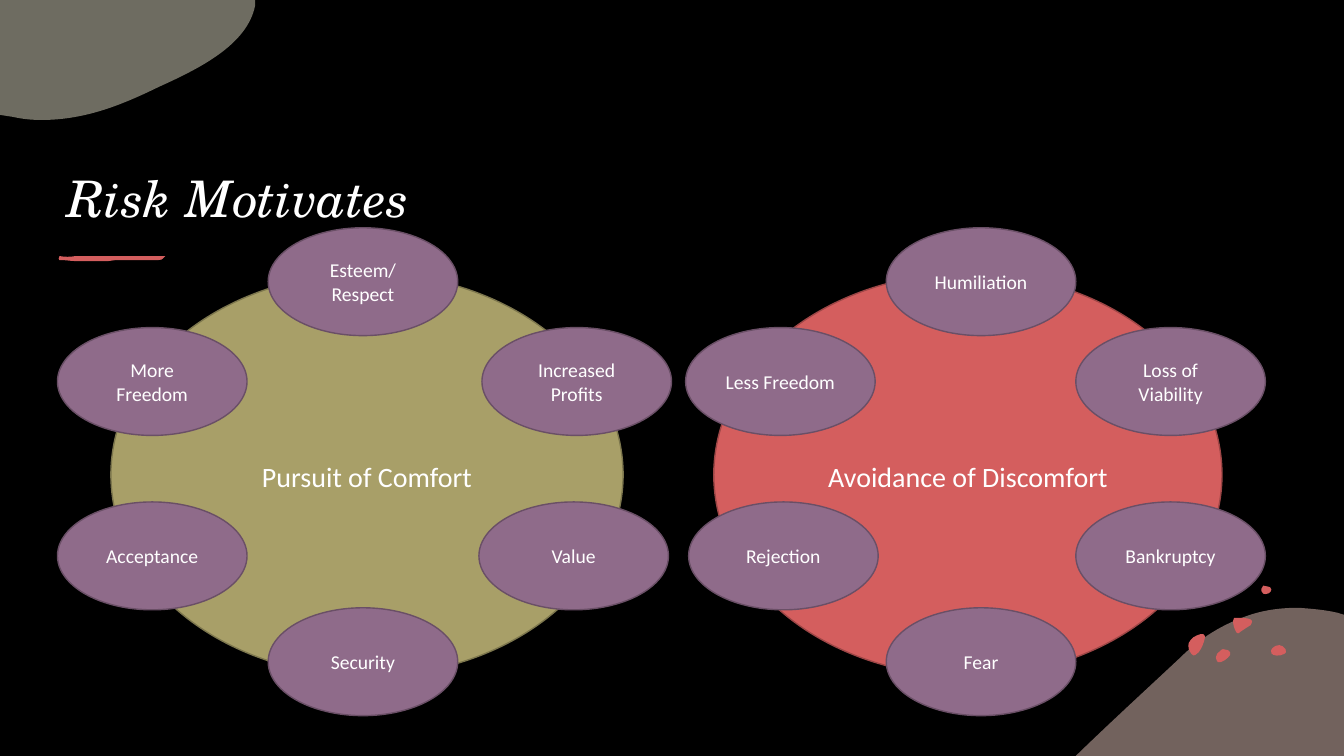
from lxml import etree
from pptx import Presentation
from pptx.dml.color import RGBColor
from pptx.enum.shapes import MSO_SHAPE
from pptx.enum.text import MSO_ANCHOR, PP_ALIGN
from pptx.oxml.ns import qn
from pptx.util import Inches, Pt

OVAL = MSO_SHAPE.FLOWCHART_CONNECTOR
CENTER = PP_ALIGN.CENTER
MIDDLE, BOTTOM = MSO_ANCHOR.MIDDLE, MSO_ANCHOR.BOTTOM

BLACK = RGBColor(0x00, 0x00, 0x00)
WHITE = RGBColor(0xFF, 0xFF, 0xFF)
OLIVE = RGBColor(0xA8, 0x9F, 0x68)
OLIVE_EDGE = RGBColor(0x7C, 0x76, 0x4D)
CORAL = RGBColor(0xD4, 0x5E, 0x5E)
CORAL_EDGE = RGBColor(0x9D, 0x46, 0x46)
PLUM = RGBColor(0x8F, 0x6B, 0x8A)
PLUM_EDGE = RGBColor(0x6A, 0x4F, 0x66)
ROSE = RGBColor(0xE5, 0xC4, 0xBA)
SAND = RGBColor(0xDC, 0xD9, 0xC3)

TITLE = "Risk Motivates"
TITLE_FONT, BODY_FONT = "TeX Gyre Schola", "Calibri"

# Hubs: text, left, width, fill, line
HUB_TOP, HUB_HEIGHT = 2.71, 4
HUBS = [
    ("Pursuit of Comfort", 1.1, 5.08, OLIVE, OLIVE_EDGE),
    ("Avoidance of Discomfort", 7.08, 5.04, CORAL, CORAL_EDGE),
]

# Motives by row: top, then (left, text) from left to right
MOTIVE_WIDTH, MOTIVE_HEIGHT = 1.88, 1.07
MOTIVE_ROWS = [
    (2.26, [(2.66, "Esteem/\nRespect"), (8.79, "Humiliation")]),
    (3.25, [(0.57, "More Freedom"), (4.78, "Increased Profits"),
            (6.8, "Less Freedom"), (10.67, "Loss of Viability")]),
    (4.98, [(0.57, "Acceptance"), (4.75, "Value"),
            (6.83, "Rejection"), (10.67, "Bankruptcy")]),
    (6.03, [(2.66, "Security"), (8.79, "Fear")]),
]

# Outlines: start point, then line ends (x, y) or cubic curves (6 numbers)
CORNER_BLOBS = [
    (ROSE, [(12.88, 6.03), (13.01, 6.04, 13.14, 6.05, 13.27, 6.08),
            (13.33, 6.1), (13.33, 7.5), (10.67, 7.5), (10.68, 7.49),
            (11.02, 7.16, 11.37, 6.84, 11.69, 6.54),
            (11.91, 6.32, 12.14, 6.19, 12.37, 6.11),
            (12.54, 6.05, 12.71, 6.03, 12.88, 6.03)]),
    (SAND, [(0, 0), (2.53, 0), (2.53, 0.06),
            (2.45, 0.44, 2, 0.67, 1.58, 0.86),
            (1.23, 1.03, 0.86, 1.19, 0.41, 1.19),
            (0.31, 1.19, 0.22, 1.18, 0.13, 1.16), (0, 1.14)]),
]
PEBBLES = [
    [(12.13, 6.44), (12.15, 6.44, 12.16, 6.44, 12.18, 6.45),
     (12.2, 6.46, 12.21, 6.48, 12.2, 6.5),
     (12.18, 6.53, 12.12, 6.58, 12.08, 6.57),
     (12.07, 6.56, 12.06, 6.54, 12.06, 6.52),
     (12.06, 6.5, 12.08, 6.47, 12.1, 6.46),
     (12.11, 6.45, 12.12, 6.44, 12.13, 6.44)],
    [(11.91, 6.29), (11.93, 6.29, 11.95, 6.29, 11.95, 6.31),
     (11.95, 6.32, 11.95, 6.32, 11.95, 6.33),
     (11.94, 6.38, 11.92, 6.43, 11.89, 6.47),
     (11.87, 6.49, 11.84, 6.52, 11.82, 6.49),
     (11.79, 6.46, 11.78, 6.41, 11.79, 6.38),
     (11.8, 6.35, 11.82, 6.34, 11.84, 6.32),
     (11.85, 6.32, 11.88, 6.29, 11.91, 6.29)],
    [(12.69, 6.4), (12.71, 6.4, 12.74, 6.42, 12.75, 6.44),
     (12.76, 6.46, 12.76, 6.48, 12.73, 6.49),
     (12.7, 6.51, 12.62, 6.51, 12.61, 6.48),
     (12.6, 6.46, 12.61, 6.44, 12.62, 6.43),
     (12.64, 6.41, 12.66, 6.4, 12.69, 6.4)],
    [(12.01, 5.81), (12, 5.81, 11.99, 5.75, 12.02, 5.72),
     (12.04, 5.7, 12.04, 5.69, 12.07, 5.69),
     (12.1, 5.69, 12.14, 5.7, 12.16, 5.71),
     (12.18, 5.73, 12.22, 5.78, 12.2, 5.82),
     (12.17, 5.85, 12.16, 5.87, 12.12, 5.87),
     (12.09, 5.87, 12.04, 5.86, 12.03, 5.84),
     (12.01, 5.83, 12.01, 5.82, 12.01, 5.81)],
    [(12.28, 6.13), (12.34, 6.13, 12.45, 6.13, 12.41, 6.19),
     (12.41, 6.2, 12.4, 6.21, 12.39, 6.21),
     (12.36, 6.23, 12.33, 6.25, 12.3, 6.27),
     (12.29, 6.28, 12.28, 6.29, 12.27, 6.28),
     (12.27, 6.28, 12.26, 6.27, 12.26, 6.27),
     (12.24, 6.23, 12.23, 6.2, 12.23, 6.16),
     (12.23, 6.15, 12.23, 6.14, 12.24, 6.13)],
]
# Two pebbles share this outline; each start point places one
SMALL_PEBBLE = [(0, 0), (0, 0, 0, -0.04, 0.02, -0.05),
                (0.04, -0.05, 0.05, -0.05, 0.07, -0.04),
                (0.08, -0.04, 0.1, -0.03, 0.1, -0.01),
                (0.1, 0, 0.09, 0.02, 0.08, 0.02),
                (0.08, 0.02, 0.08, 0.03, 0.06, 0.03),
                (0.05, 0.03, 0.03, 0.04, 0.02, 0.03),
                (0.01, 0.01, 0, 0.01, 0, 0)]
SMALL_PEBBLE_STARTS = [(12.51, 5.86), (11.79, 6)]
UNDERLINE = [(0.59, 2.54), (0.64, 2.55, 0.7, 2.55, 0.75, 2.54),
             (0.88, 2.54), (1.11, 2.54), (1.33, 2.54), (1.64, 2.54),
             (1.61, 2.55, 1.63, 2.58, 1.57, 2.58), (1.33, 2.58),
             (1.15, 2.58), (1.07, 2.59), (0.86, 2.59),
             (0.75, 2.59), (0.71, 2.59, 0.65, 2.58, 0.61, 2.58),
             (0.57, 2.59, 0.58, 2.55, 0.59, 2.54)]


def moved(outline, dx, dy):
    return [tuple(v + (dy if i % 2 else dx) for i, v in enumerate(segment))
            for segment in outline]


def add_outline(slide, outline, color, alpha=None):
    """Build a freeform through the segment ends, then bend the cubic ones."""
    points = [(Inches(seg[-2]), Inches(seg[-1])) for seg in outline]
    builder = slide.shapes.build_freeform(*points[0])
    builder.add_line_segments(points[1:], close=True)
    sp = builder.convert_to_shape()
    for seg, line in zip(outline[1:], list(sp._element.iter(qn("a:lnTo")))):
        if len(seg) == 6:
            curve = etree.Element(qn("a:cubicBezTo"))
            for x, y in zip(seg[::2], seg[1::2]):
                pt = etree.SubElement(curve, qn("a:pt"))
                pt.set("x", str(Inches(x) - sp.left))
                pt.set("y", str(Inches(y) - sp.top))
            line.getparent().replace(line, curve)
    sp.shadow.inherit = False
    sp.fill.solid()
    sp.fill.fore_color.rgb = color
    sp.line.fill.background()
    if alpha:
        clr = sp._element.spPr.find(qn("a:solidFill"))[0]
        etree.SubElement(clr, qn("a:alpha")).set("val", str(alpha * 1000))


def set_font(p, name, size):
    p.font.name = name
    p.font.size = Pt(size)
    p.font.color.rgb = WHITE


def add_oval(slide, box, text, size, fill, edge, spacing=None):
    sp = slide.shapes.add_shape(OVAL, *map(Inches, box))
    sp.shadow.inherit = False
    sp.fill.solid()
    sp.fill.fore_color.rgb = fill
    sp.line.color.rgb = edge
    sp.line.width = Pt(1)
    tf = sp.text_frame
    tf.word_wrap = True
    tf.vertical_anchor = MIDDLE
    tf.text = text
    for p in tf.paragraphs:
        p.alignment = CENTER
        p.line_spacing = spacing
        set_font(p, BODY_FONT, size)


prs = Presentation()
prs.slide_width, prs.slide_height = Inches(13.33), Inches(7.5)
slide = prs.slides.add_slide(prs.slide_layouts[6])
slide.background.fill.solid()
slide.background.fill.fore_color.rgb = BLACK

for color, outline in CORNER_BLOBS:
    add_outline(slide, outline, color, alpha=50)
small_pebbles = [moved(SMALL_PEBBLE, *start) for start in SMALL_PEBBLE_STARTS]
for outline in PEBBLES + small_pebbles + [UNDERLINE]:
    add_outline(slide, outline, CORAL)

title = slide.shapes.add_textbox(*map(Inches, (0.57, 0.86, 11.02, 1.45)))
tf = title.text_frame
tf.word_wrap = True
tf.vertical_anchor = BOTTOM
tf.text = TITLE
set_font(tf.paragraphs[0], TITLE_FONT, 36)
tf.paragraphs[0].font.italic = True

for text, left, width, fill, edge in HUBS:
    add_oval(slide, (left, HUB_TOP, width, HUB_HEIGHT), text, 20, fill, edge, 1.1)
for top, motives in MOTIVE_ROWS:
    for left, text in motives:
        add_oval(slide, (left, top, MOTIVE_WIDTH, MOTIVE_HEIGHT), text, 14,
                 PLUM, PLUM_EDGE)
prs.save("out.pptx")
